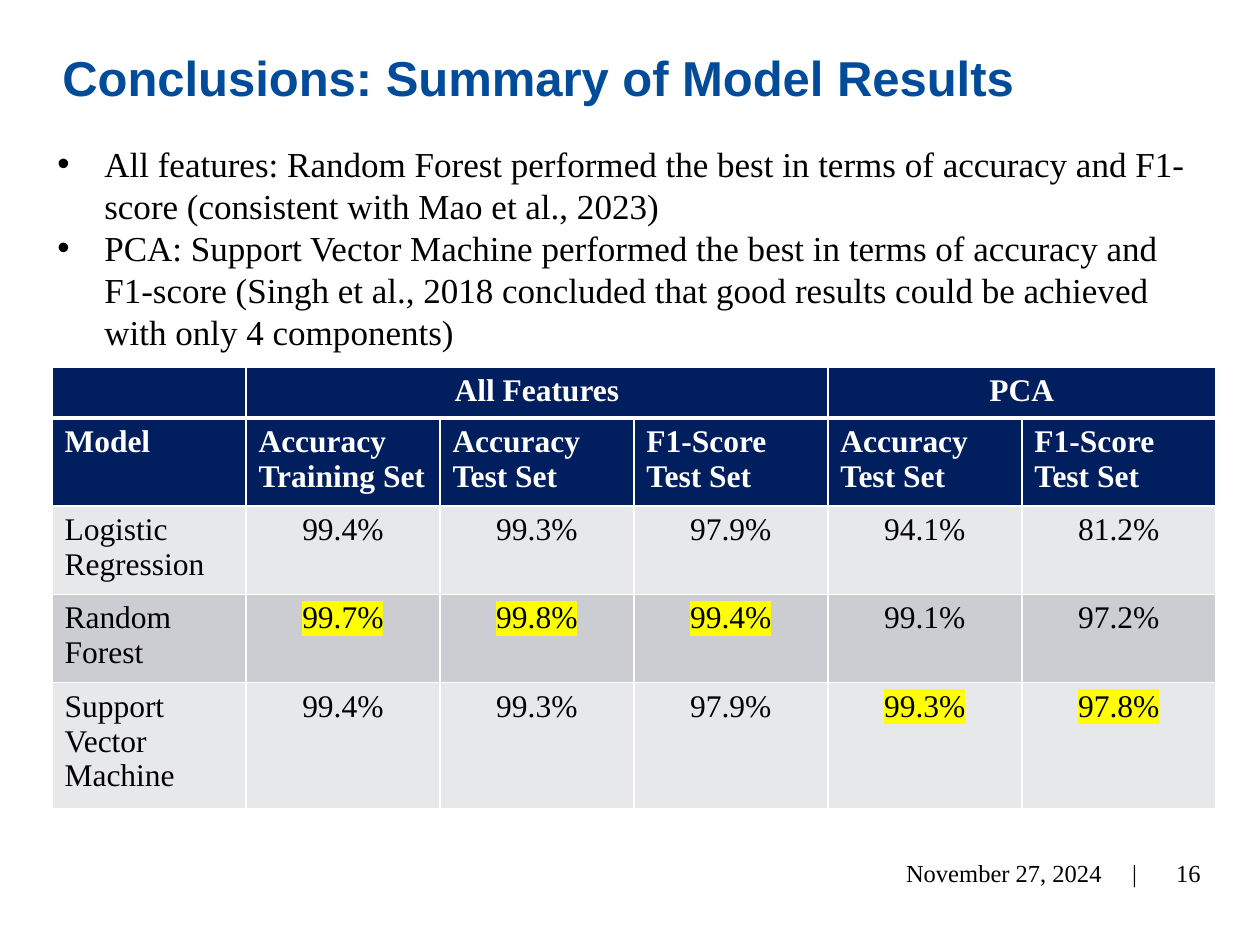
import lxml.etree
import pptx
import pptx.dml.color
import pptx.enum.text
import pptx.oxml.ns
import pptx.util

PX = 914400 // 126
SERIF = "Times New Roman"
COLORS = {"title": "004C9B", "text": "000000", "light": "FFFFFF", "header": "011E5E",
          "odd": "E7E8EA", "even": "CCCDD2", "mark": "FFFF00"}
ALIGN = pptx.enum.text.PP_ALIGN
ANCHOR = pptx.enum.text.MSO_ANCHOR

BULLETS = [
    "All features: Random Forest performed the best in terms of accuracy and F1-score "
    "(consistent with Mao et al., 2023)",
    "PCA: Support Vector Machine performed the best in terms of accuracy and F1-score "
    "(Singh et al., 2018 concluded that good results could be achieved with only 4 components)",
]
GROUPS = [("All Features", 1, 3), ("PCA", 4, 5)]
HEADINGS = ["Model", "Accuracy Training Set", "Accuracy Test Set", "F1-Score Test Set",
            "Accuracy Test Set", "F1-Score Test Set"]
RESULTS = [
    ["Logistic Regression", "99.4%", "99.3%", "97.9%", "94.1%", "81.2%"],
    ["Random Forest", "99.7%", "99.8%", "99.4%", "99.1%", "97.2%"],
    ["Support Vector Machine", "99.4%", "99.3%", "97.9%", "99.3%", "97.8%"],
]
BEST = {(1, 1), (1, 2), (1, 3), (2, 4), (2, 5)}


def rgb(name):
    """Return the named colour."""
    return pptx.dml.color.RGBColor.from_string(COLORS[name])


def sub(parent, tag, **attrs):
    """Append a DrawingML element to parent."""
    return lxml.etree.SubElement(parent, pptx.oxml.ns.qn("a:" + tag), **attrs)


def style(p, size, color="text", font=SERIF, bold=False, align=ALIGN.LEFT):
    """Set the alignment and font of a paragraph."""
    p.alignment = align
    p.font.size = pptx.util.Pt(size)
    p.font.name = font
    p.font.bold = bold
    p.font.color.rgb = rgb(color)


def add_box(s, x, y, w, h, anchor=ANCHOR.TOP):
    """Add a wrapping text box and return its text frame."""
    tf = s.shapes.add_textbox(x * PX, y * PX, w * PX, h * PX).text_frame
    tf.word_wrap = True
    tf.vertical_anchor = anchor
    return tf


def add_title(s, x, y, w, h):
    """Add the slide title."""
    p = add_box(s, x, y, w, h).paragraphs[0]
    p.text = "Conclusions: Summary of Model Results"
    p.line_spacing = pptx.util.Pt(26.6)
    style(p, 28, "title", "Arial", True)


def add_bullets(s, x, y, w, h):
    """Add the bulleted findings."""
    tf = add_box(s, x, y, w, h)
    for i, text in enumerate(BULLETS):
        p = tf.add_paragraph() if i else tf.paragraphs[0]
        p.text = text
        pPr = p._p.get_or_add_pPr()
        pPr.set("marL", str(47 * PX))
        pPr.set("indent", str(-47 * PX))
        sub(pPr, "buFont", typeface="Arial")
        sub(pPr, "buChar", char="•")
        style(p, 20)


def set_borders(cell, widths):
    """Draw white cell borders, widths in points by side."""
    tcPr = cell._tc.get_or_add_tcPr()
    for i, (side, width) in enumerate(widths.items()):
        ln = sub(tcPr, "ln" + side, w=str(pptx.util.Pt(width)))
        sub(sub(ln, "solidFill"), "srgbClr", val=COLORS["light"])
        tcPr.insert(i, ln)


def add_results(s, x, y, w, row_h):
    """Add the table of model results."""
    head = [""] * len(HEADINGS)
    for text, first, last in GROUPS:
        head[first] = text
    rows = [head, HEADINGS] + RESULTS
    n = len(HEADINGS)
    table = s.shapes.add_table(len(rows), n, x * PX, y * PX, w * PX, row_h * len(rows) * PX).table
    table.first_row = table.horz_banding = False
    for i, row in enumerate(rows):
        header = i < 2
        for j, text in enumerate(row):
            cell = table.cell(i, j)
            cell.fill.solid()
            cell.fill.fore_color.rgb = rgb("header" if header else ("odd", "even")[i % 2])
            set_borders(cell, {"L": 1, "R": 1, "T": 3 if i == 1 else 1, "B": 3 if i == 0 else 1})
            p = cell.text_frame.paragraphs[0]
            centred = i == 0 or (i > 1 and j > 0)
            style(p, 18, "light" if header else "text", bold=header,
                  align=ALIGN.CENTER if centred else ALIGN.LEFT)
            if text:
                r = p.add_run()
                r.text = text
                if (i - 2, j) in BEST:
                    mark = sub(r._r.get_or_add_rPr(), "highlight")
                    sub(mark, "srgbClr", val=COLORS["mark"])
    for text, first, last in GROUPS:
        table.cell(0, first).merge(table.cell(0, last))


def add_footer(s, x, y, h):
    """Add the date, its divider and the page number."""
    tf = add_box(s, x, y, 286, h, ANCHOR.MIDDLE)
    tf.margin_left, tf.margin_right = 42 * PX, 0
    p = tf.paragraphs[0]
    p.text = "November 27, 2024\t|"
    tabs = sub(p._p.get_or_add_pPr(), "tabLst")
    sub(tabs, "tab", pos=str(226 * PX), algn="l")
    style(p, 14)
    p = add_box(s, x + 256, y, 93, h, ANCHOR.MIDDLE).paragraphs[0]
    p.text = "16"
    style(p, 14, align=ALIGN.RIGHT)


def main():
    """Build and save the slide."""
    prs = pptx.Presentation()
    prs.slide_width, prs.slide_height = pptx.util.Inches(10), pptx.util.Inches(7.5)
    s = prs.slides.add_slide(prs.slide_layouts[6])
    add_title(s, 50, 54, 1164, 147)
    add_footer(s, 864, 848, 50)
    add_results(s, 52, 367, 1164, 51)
    add_bullets(s, 45, 136, 1163, 267)
    prs.save("out.pptx")


if __name__ == "__main__":
    main()
